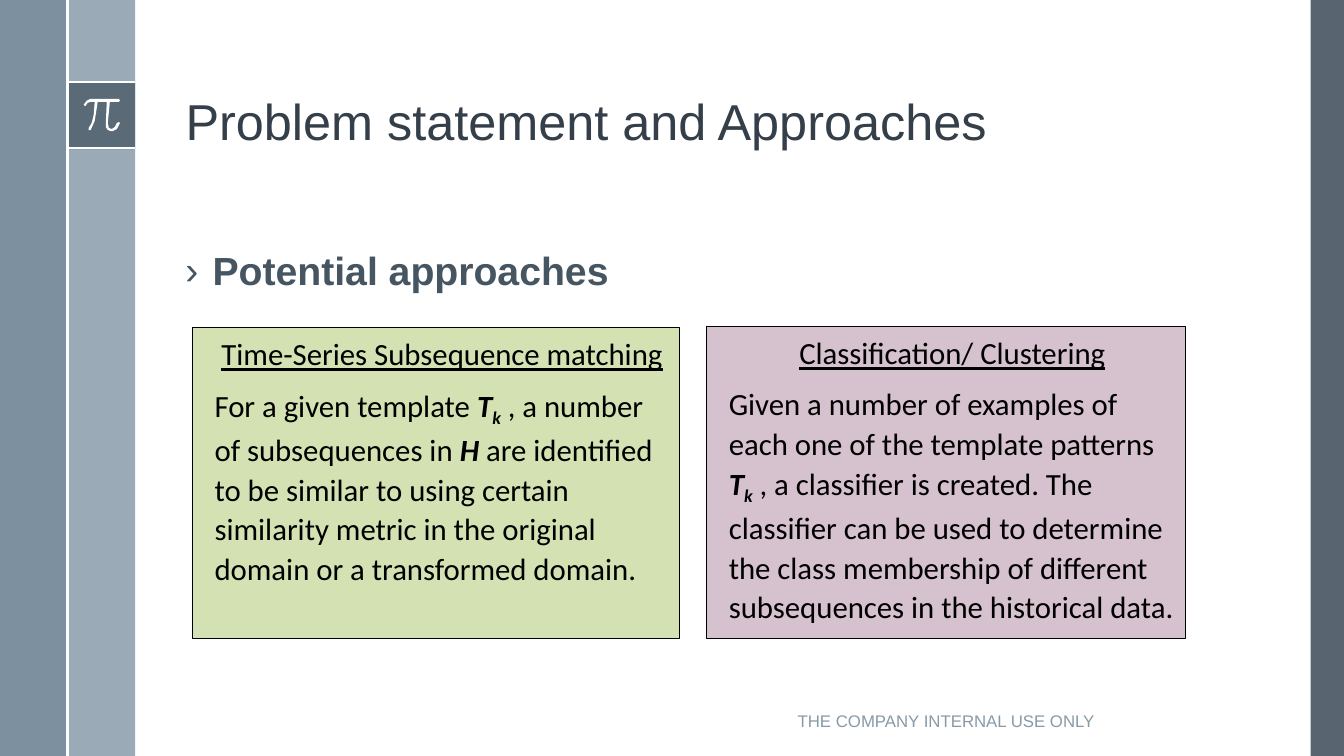
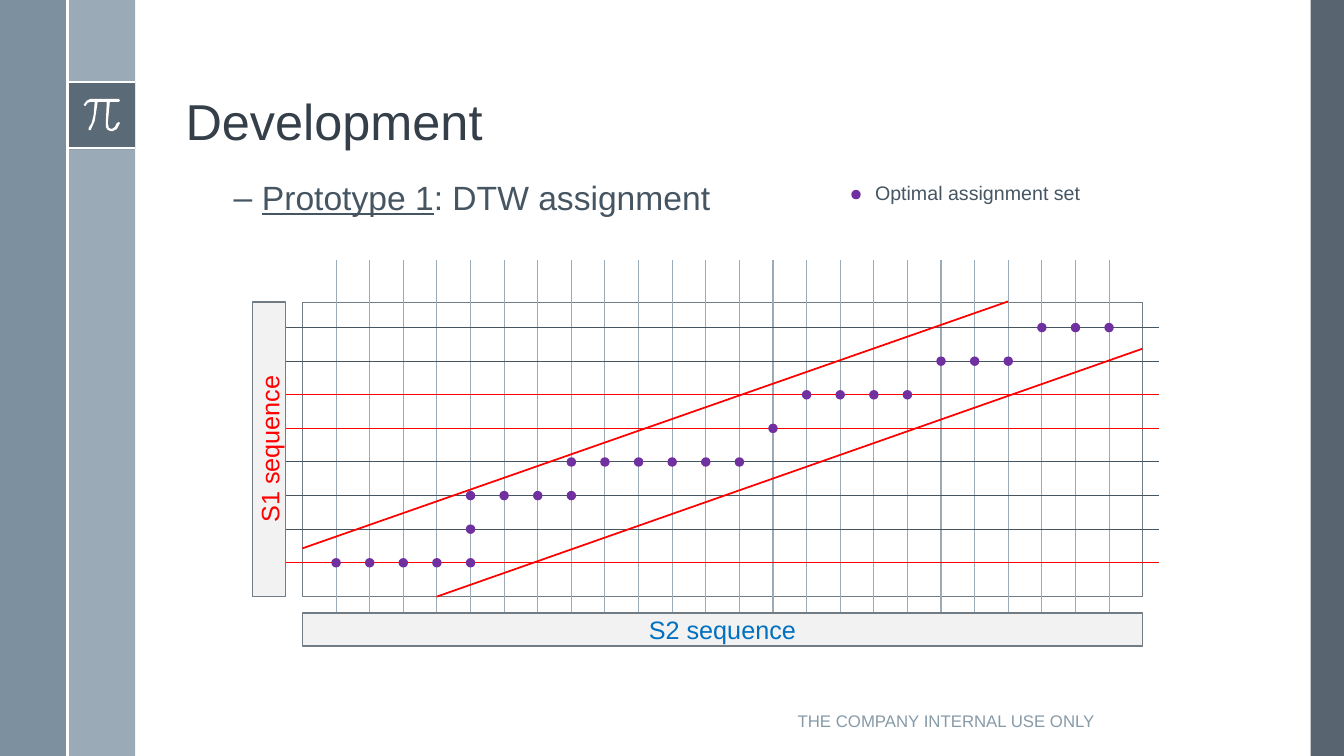
import pptx
import pptx.util
import pptx.dml.color
import pptx.enum.shapes
import pptx.enum.text
import pptx.oxml.ns
from lxml import etree

Inches = pptx.util.Inches
Pt = pptx.util.Pt
RGB = pptx.dml.color.RGBColor
SHAPE = pptx.enum.shapes.MSO_SHAPE
ALIGN = pptx.enum.text.PP_ALIGN
ANCHOR = pptx.enum.text.MSO_ANCHOR
qn = pptx.oxml.ns.qn

WHITE = RGB(0xFF, 0xFF, 0xFF)
BLACK = RGB(0x00, 0x00, 0x00)
SLATE = RGB(0x46, 0x55, 0x62)
STEEL = RGB(0x6A, 0x80, 0x93)
MIST = RGB(0x9B, 0xAA, 0xB7)
TITLE_INK = RGB(0x34, 0x3F, 0x49)
FOOTER_INK = RGB(0x87, 0x9A, 0xA8)
OUTLINE = RGB(0x71, 0x7C, 0x85)
PALE = RGB(0xF2, 0xF2, 0xF2)
GREEN = RGB(0xD4, 0xE2, 0xB3)
MAUVE = RGB(0xD6, 0xC1, 0xCE)
RED = RGB(0xFF, 0x00, 0x00)
BLUE = RGB(0x00, 0x70, 0xC0)
PURPLE = RGB(0x70, 0x30, 0xA0)

FOOTER = "THE COMPANY INTERNAL USE ONLY"
BANDS = [
    ((13, 0, 0.33, 7.5), SLATE, 90),
    ((0.67, 0, 0.67, 7.5), MIST, 100),
    ((0, 0, 0.67, 7.5), STEEL, 87),
    ((0.67, 0.81, 0.67, 0.67), SLATE, 75),
]
RULES = [
    ((0.67, 0.81), (1.34, 0.81)),
    ((0.67, 1.47), (1.34, 1.47)),
    ((0.67, 0), (0.67, 7.5)),
]
PI_OUTLINE = [
    (1.18, 0.98), (0.9, 0.98), (0.86, 1), (0.83, 1.04), (0.84, 1.05),
    (0.85, 1.05), (0.87, 1.02), (0.9, 1.01), (0.94, 1.01), (0.93, 1.14),
    (0.91, 1.22), (0.88, 1.27), (0.88, 1.29), (0.9, 1.29), (0.94, 1.2),
    (0.97, 1.01), (1.06, 1.01), (1.05, 1.22), (1.05, 1.26), (1.07, 1.29),
    (1.1, 1.3), (1.12, 1.3), (1.16, 1.28), (1.19, 1.22), (1.18, 1.21),
    (1.16, 1.22), (1.14, 1.26), (1.11, 1.28), (1.08, 1.27), (1.07, 1.22),
    (1.09, 1.01), (1.18, 1.01), (1.19, 1),
]

SYMBOL = dict(bold=True, italic=True)
SUBSCRIPT = dict(bold=True, italic=True, baseline=-25)
UNDERLINED = dict(underline=True)
APPROACHES = [
    ((1.91, 3.25, 4.83, 3.08), GREEN, "Time-Series Subsequence matching", [
        ("For a given template ", {}), ("T", SYMBOL), ("k", SUBSCRIPT),
        (" , a number of subsequences in ", {}), ("H", SYMBOL),
        (" are identified to be similar to using certain similarity metric "
         "in the original domain or a transformed domain.", {}),
    ]),
    ((7.01, 3.24, 4.75, 3.09), MAUVE, "Classification/ Clustering", [
        ("Given a number of examples of each one of the template patterns ", {}),
        ("T", SYMBOL), ("k", SUBSCRIPT),
        (" , a classifier is created. The classifier can be used to determine "
         "the class membership of different subsequences in the historical data.", {}),
    ]),
]

GRID = (3, 3, 8.33, 2.92)
STEP = 1 / 3
COLUMNS = 24
FIRST_ROW = 3.25
ROW_COLORS = [SLATE, SLATE, RED, RED, SLATE, SLATE, SLATE, RED]
ASSIGNMENT = [(22, 24), (19, 21), (15, 18), (14, 14), (8, 13), (5, 8), (5, 5), (1, 5)]
WARP_BAND = [((4.33, 5.92), (11.33, 3.46)), ((3, 5.44), (10, 2.99))]
SEQUENCES = [
    ((1.21, 4.29, 2.92, 0.33), "S1 sequence", RED, 270),
    ((3, 6.08, 8.33, 0.33), "S2 sequence", BLUE, 0),
]


def inches(values):
    return [Inches(value) for value in values]


def write(frame, runs, new=False, size=18, color=SLATE, font="Arial", align=ALIGN.LEFT,
          anchor=ANCHOR.TOP, spacing=1.0, before=0, margin=0, indent=0, bullet=None):
    frame.word_wrap = True
    frame.auto_size = pptx.enum.text.MSO_AUTO_SIZE.NONE
    frame.vertical_anchor = anchor
    paragraph = frame.add_paragraph() if new else frame.paragraphs[0]
    paragraph.alignment = align
    paragraph.line_spacing = spacing
    paragraph.space_before = Pt(before)
    properties = paragraph._p.get_or_add_pPr()
    properties.set("marL", str(Inches(margin)))
    properties.set("indent", str(Inches(indent)))
    if bullet:
        bullet_color = etree.SubElement(properties, qn("a:buClr"))
        etree.SubElement(bullet_color, qn("a:srgbClr"), val=str(color))
        etree.SubElement(properties, qn("a:buFont"), typeface=font)
        etree.SubElement(properties, qn("a:buChar"), char=bullet)
    for text, style in [(runs, {})] if isinstance(runs, str) else runs:
        run = paragraph.add_run()
        run.text = text
        run.font.name = font
        run.font.size = Pt(size)
        run.font.color.rgb = color
        run.font.bold = style.get("bold", False)
        run.font.italic = style.get("italic", False)
        run.font.underline = style.get("underline", False)
        if "baseline" in style:
            run._r.get_or_add_rPr().set("baseline", str(style["baseline"] * 1000))


def paint(shape, fill=None, line=None, width=1, opacity=100):
    shape.shadow.inherit = False
    if fill is None:
        shape.fill.background()
    else:
        shape.fill.solid()
        shape.fill.fore_color.rgb = fill
        if opacity < 100:
            tint = shape._element.spPr.find(".//" + qn("a:srgbClr"))
            etree.SubElement(tint, qn("a:alpha"), val=str(opacity * 1000))
    if line is None:
        shape.line.fill.background()
    else:
        shape.line.color.rgb = line
        shape.line.width = Pt(width)


def add_shape(slide, box, kind=SHAPE.RECTANGLE, **style):
    shape = slide.shapes.add_shape(kind, *inches(box))
    paint(shape, **style)
    return shape


def add_line(slide, start, end, color, width=0.75):
    line = slide.shapes.add_connector(
        pptx.enum.shapes.MSO_CONNECTOR.STRAIGHT, *inches(start + end))
    line.line.color.rgb = color
    line.line.width = Pt(width)
    etree.SubElement(line._element.spPr, qn("a:effectLst"))


def add_text(slide, box, runs, **style):
    write(slide.shapes.add_textbox(*inches(box)).text_frame, runs, **style)


def add_dot(slide, x, y):
    add_shape(slide, (x - 0.04, y - 0.04, 0.08, 0.08), SHAPE.OVAL, fill=PURPLE, line=PURPLE)


def add_slide(deck, heading):
    slide = deck.slides.add_slide(deck.slide_layouts[5])
    for box, color, opacity in BANDS:
        add_shape(slide, box, fill=color, opacity=opacity)
    for start, end in RULES:
        add_line(slide, start, end, WHITE, 1.5)
    outline = [inches(point) for point in PI_OUTLINE]
    builder = slide.shapes.build_freeform(*outline[0])
    builder.add_line_segments(outline[1:], close=True)
    paint(builder.convert_to_shape(), fill=WHITE)
    title = slide.shapes.title
    title.left, title.top, title.width, title.height = inches((1.74, 0.19, 10.7, 1.36))
    write(title.text_frame, heading, size=36, color=TITLE_INK, anchor=ANCHOR.BOTTOM, spacing=0.9)
    add_text(slide, (7.21, 6.95, 4.35, 0.4), FOOTER, size=12, color=FOOTER_INK,
             align=ALIGN.CENTER, anchor=ANCHOR.MIDDLE)
    return slide


def build_approaches(deck):
    slide = add_slide(deck, "Problem statement and Approaches")
    add_text(slide, (1.74, 2.45, 10.7, 0.6), [("Potential approaches", dict(bold=True))],
             size=28, spacing=0.9, margin=0.27, indent=-0.27, bullet="›")
    body = dict(size=22, font="Calibri", color=BLACK, spacing=1.07, margin=0.12)
    for box, fill, name, description in APPROACHES:
        frame = add_shape(slide, box, fill=fill, line=BLACK, width=0.75).text_frame
        write(frame, [(name, UNDERLINED)], align=ALIGN.CENTER, **body)
        write(frame, description, new=True, before=8, **body)


def build_development(deck):
    slide = add_slide(deck, "Development")
    add_text(slide, (1.73, 1.75, 6.2, 0.6),
             [("Prototype 1", UNDERLINED), (": DTW assignment", {})],
             size=24, spacing=0.9, margin=0.77, indent=-0.28, bullet="–")
    add_shape(slide, GRID, line=OUTLINE)
    for column in range(1, COLUMNS + 1):
        x = GRID[0] + column * STEP
        add_line(slide, (x, 2.58), (x, 6.25), MIST)
    rows = [FIRST_ROW + index * STEP for index in range(len(ROW_COLORS))]
    for y, color in zip(rows, ROW_COLORS):
        add_line(slide, (2.83, y), (11.5, y), color)
    for box, name, color, rotation in SEQUENCES:
        sequence = add_shape(slide, box, fill=PALE, line=OUTLINE)
        sequence.rotation = rotation
        write(sequence.text_frame, name, color=color, align=ALIGN.CENTER, anchor=ANCHOR.MIDDLE)
    for start, end in WARP_BAND:
        add_line(slide, start, end, RED, 1.25)
    for y, (first, last) in zip(rows, ASSIGNMENT):
        for column in range(first, last + 1):
            add_dot(slide, GRID[0] + column * STEP, y)
    add_dot(slide, 8.49, 1.93)
    add_text(slide, (8.58, 1.75, 2.75, 0.34), "Optimal assignment set", size=14)


def main():
    deck = pptx.Presentation()
    deck.slide_width, deck.slide_height = inches((13.33, 7.5))
    build_approaches(deck)
    build_development(deck)
    deck.save("out.pptx")


if __name__ == "__main__":
    main()
